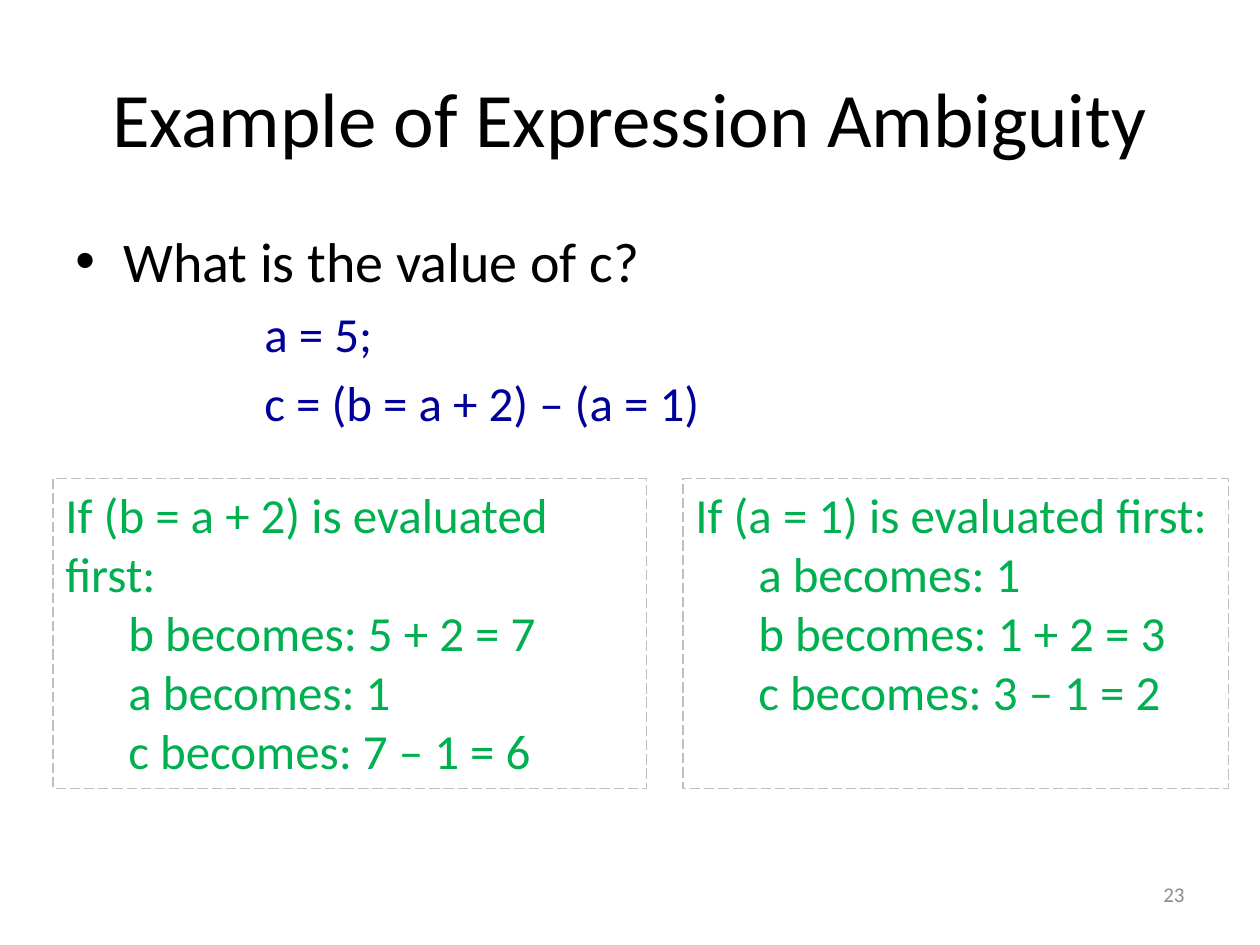
from lxml.etree import SubElement
from pptx import Presentation
from pptx.dml.color import RGBColor
from pptx.enum.dml import MSO_LINE
from pptx.enum.shapes import MSO_SHAPE
from pptx.enum.text import MSO_ANCHOR, PP_ALIGN
from pptx.oxml.ns import qn
from pptx.util import Inches, Pt

BLACK = RGBColor(0x00, 0x00, 0x00)
NAVY = RGBColor(0x00, 0x00, 0x99)
GREEN = RGBColor(0x00, 0xB0, 0x50)
GRAY = RGBColor(0x8C, 0x8C, 0x8C)
SILVER = RGBColor(0xBF, 0xBF, 0xBF)
FACE = "Calibri"

TITLE = "Example of Expression Ambiguity"
ASK = "What is the value of c?"
CODE = ["a = 5;", "c = (b = a + 2) – (a = 1)"]
PAGE = "23"
CASES = [
    (0.42, 4.71, "If (b = a + 2) is evaluated first:",
     ["b becomes: 5 + 2 = 7", "a becomes: 1", "c becomes: 7 – 1 = 6"]),
    (5.42, 4.33, "If (a = 1) is evaluated first:",
     ["a becomes: 1", "b becomes: 1 + 2 = 3", "c becomes: 3 – 1 = 2"]),
]
CASE_TOP, CASE_HIGH = 3.8, 2.46


def place(shape, left, top, width, height):
    shape.left, shape.top = Inches(left), Inches(top)
    shape.width, shape.height = Inches(width), Inches(height)


def style(para, text, size, color, align=PP_ALIGN.LEFT):
    para.text = text
    para.alignment = align
    font = para.font
    font.name, font.size = FACE, Pt(size)
    font.color.rgb = color


def indent(para, left, first=0):
    props = para._p.get_or_add_pPr()
    props.set("marL", str(Inches(left)))
    props.set("indent", str(Inches(first)))
    return props


def add_text(slide, left, top, width, height):
    box = slide.shapes.add_textbox(
        Inches(left), Inches(top), Inches(width), Inches(height))
    box.text_frame.word_wrap = True
    return box.text_frame


def add_body(slide):
    frame = add_text(slide, 0.5, 1.75, 9, 4.95)
    para = frame.paragraphs[0]
    style(para, ASK, 32, BLACK)
    para.space_before = Pt(6.4)
    props = indent(para, 0.38, -0.38)
    SubElement(props, qn("a:buFont")).set("typeface", "Arial")
    SubElement(props, qn("a:buChar")).set("char", "•")
    for line in CODE:
        para = frame.add_paragraph()
        style(para, line, 28, NAVY)
        para.space_before = Pt(5.6)
        indent(para, 1.5)


def add_case(slide, left, width, head, steps):
    box = slide.shapes.add_shape(
        MSO_SHAPE.RECTANGLE, Inches(left), Inches(CASE_TOP),
        Inches(width), Inches(CASE_HIGH))
    box.shadow.inherit = False
    box.fill.background()
    box.line.color.rgb = SILVER
    box.line.width = Pt(0.75)
    box.line.dash_style = MSO_LINE.LONG_DASH
    frame = box.text_frame
    frame.word_wrap = True
    frame.vertical_anchor = MSO_ANCHOR.TOP
    style(frame.paragraphs[0], head, 28, GREEN)
    for step in steps:
        para = frame.add_paragraph()
        style(para, step, 28, GREEN)
        indent(para, 0.5)


def main():
    deck = Presentation()
    deck.slide_width, deck.slide_height = Inches(10), Inches(7.5)
    slide = deck.slides.add_slide(deck.slide_layouts[5])
    title = slide.shapes.title
    place(title, 0.5, 0.3, 9, 1.25)
    title.text_frame.vertical_anchor = MSO_ANCHOR.MIDDLE
    style(title.text_frame.paragraphs[0], TITLE, 44, BLACK, PP_ALIGN.CENTER)
    add_body(slide)
    frame = add_text(slide, 8.58, 6.9, 0.92, 0.4)
    frame.vertical_anchor = MSO_ANCHOR.MIDDLE
    style(frame.paragraphs[0], PAGE, 12, GRAY, PP_ALIGN.RIGHT)
    for case in CASES:
        add_case(slide, *case)
    deck.save("out.pptx")


if __name__ == "__main__":
    main()
